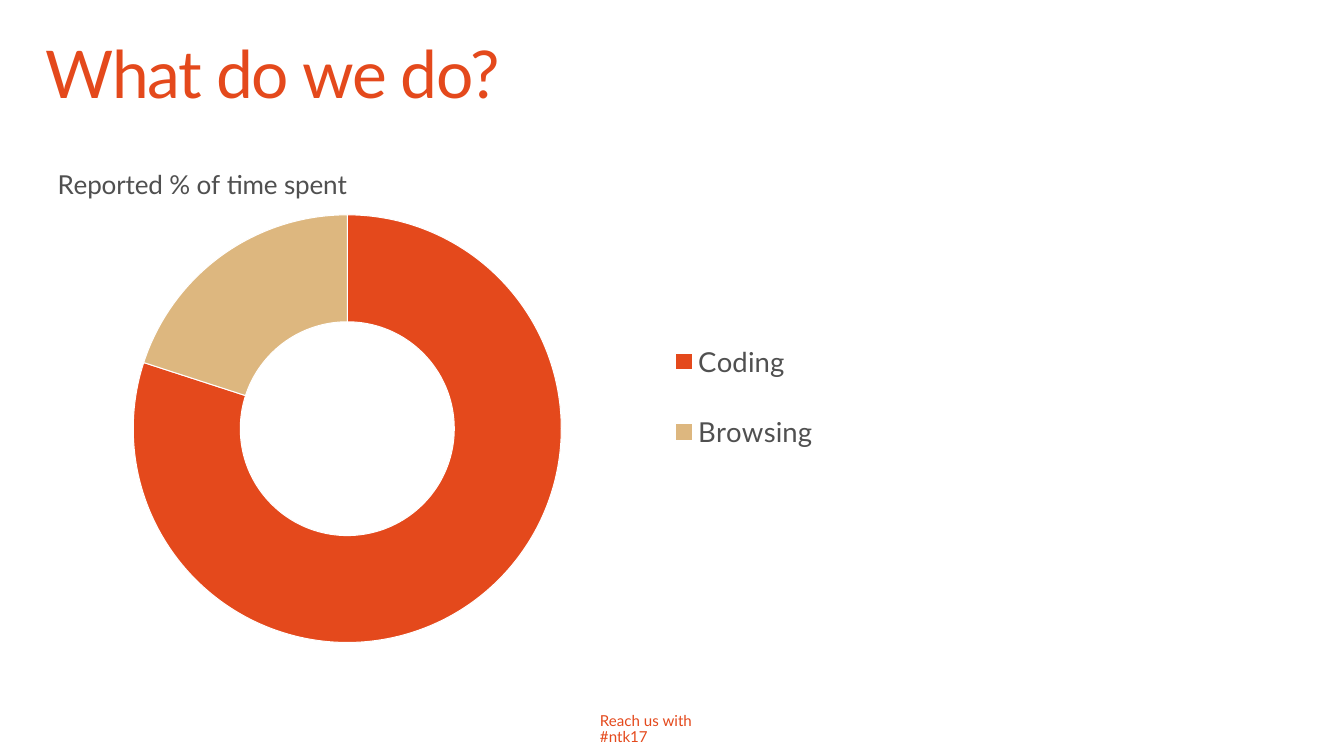
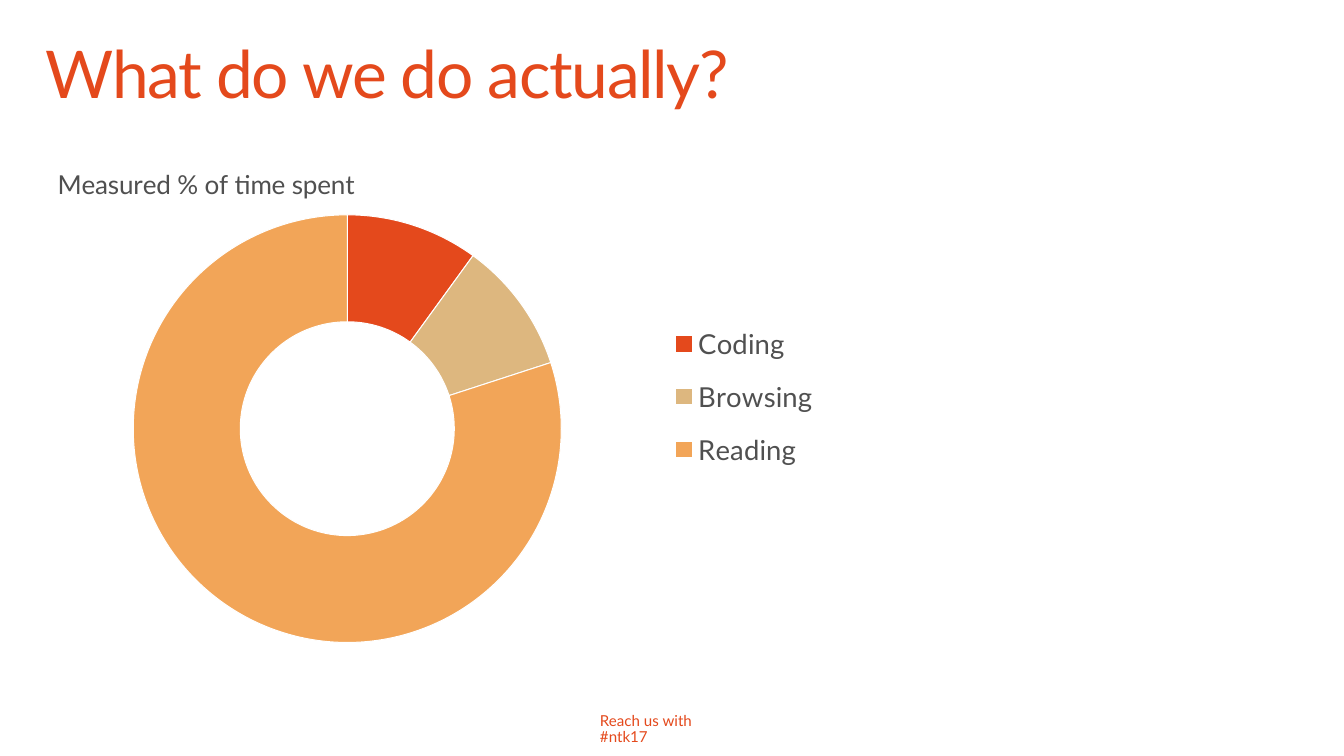
import pptx
import pptx.chart.data
import pptx.dml.color
import pptx.enum.chart
import pptx.enum.text
import pptx.oxml
import pptx.oxml.ns
import pptx.util

COLORS = {"accent": "E4491C", "sand": "DDB77F", "orange": "F2A558",
          "text": "505050", "white": "FFFFFF"}
FONT = "Lato"
FOOTER = "Reach us with #ntk17"
ACTIVITY_COLORS = {"Coding": "accent", "Browsing": "sand", "Reading": "orange"}
SLIDES = [
    {"title": "What do we do?", "chart_title": "Reported % of time spent",
     "shares": {"Coding": 80, "Browsing": 20}},
    {"title": "What do we do actually?", "chart_title": "Measured % of time spent",
     "shares": {"Coding": 10, "Browsing": 10, "Reading": 80}},
]

# Boxes are left, top, width, height in pixels
SLIDE_SIZE = (1344, 756)
TITLE_BOX = (30, 32, 1284, 99)
FOOTER_BOX = (580, 697, 183, 49)
CHART_BOX = (44, 151, 892, 492)
# Chart parts, as fractions of the chart
CHART_TITLE_AT = (0.01, 0.02)
PLOT_AREA = (0.05, 0.13, 0.58, 0.87)
LEGEND_AREA = (0.7, 0.32, 0.17, 0.36)


def px(pixels):
    """Turn pixels into EMU."""
    return round(pixels * 914400 / 98.8)


def rgb(name):
    """Look up a colour by name."""
    return pptx.dml.color.RGBColor.from_string(COLORS[name])


def style_font(font, size, color):
    """Set family, size and colour of a font."""
    font.name = FONT
    font.size = pptx.util.Pt(size)
    font.bold = False
    font.color.rgb = rgb(color)


def add_text(slide, box, text, size, insets, tracking=0, space_after=0):
    """Add a wrapped, top-anchored line of accent text; return nothing."""
    frame = slide.shapes.add_textbox(*map(px, box)).text_frame
    frame.word_wrap = True
    frame.vertical_anchor = pptx.enum.text.MSO_ANCHOR.TOP
    side, edge = map(px, insets)
    frame.margin_left = frame.margin_right = side
    frame.margin_top = frame.margin_bottom = edge
    paragraph = frame.paragraphs[0]
    paragraph.line_spacing = 0.9
    paragraph.space_after = pptx.util.Pt(space_after)
    run = paragraph.add_run()
    run.text = text
    style_font(run.font, size, "accent")
    if tracking:
        run.font._element.set("spc", str(tracking * 100))


def place(part, area, inner=False):
    """Give a chart part a fixed place inside its chart."""
    qn = pptx.oxml.ns.qn
    for automatic in part.findall(qn("c:layout")):
        part.remove(automatic)
    target = '<c:layoutTarget val="inner"/>' if inner else ""
    modes = "".join(f'<c:{axis}Mode val="edge"/>' for axis in "xy")
    values = "".join(f'<c:{side} val="{value}"/>' for side, value in zip("xywh", area))
    layout = pptx.oxml.parse_xml(
        f'<c:layout {pptx.oxml.ns.nsdecls("c")}><c:manualLayout>'
        f'{target}{modes}{values}</c:manualLayout></c:layout>')
    overlay = part.find(qn("c:overlay"))
    if overlay is None:
        part.insert(0, layout)
    else:
        overlay.addprevious(layout)


def add_shares_chart(slide, heading, shares):
    """Add the doughnut of time shares with its heading and legend."""
    data = pptx.chart.data.CategoryChartData()
    data.categories = list(shares)
    data.add_series("Series 1", list(shares.values()))
    chart = slide.shapes.add_chart(
        pptx.enum.chart.XL_CHART_TYPE.DOUGHNUT, *map(px, CHART_BOX), data).chart
    style_font(chart.font, 10, "text")

    chart.has_title = True
    run = chart.chart_title.text_frame.paragraphs[0].add_run()
    run.text = heading
    style_font(run.font, 19, "text")
    place(chart.chart_title._element, CHART_TITLE_AT)

    chart.has_legend = True
    chart.legend.position = pptx.enum.chart.XL_LEGEND_POSITION.RIGHT
    chart.legend.include_in_layout = False
    style_font(chart.legend.font, 20, "text")
    place(chart.legend._element, LEGEND_AREA)

    plot = chart.plots[0]
    plot.vary_by_categories = True
    place(plot._element.getparent(), PLOT_AREA, inner=True)
    for index, activity in enumerate(shares):
        wedge = plot.series[0].points[index].format
        wedge.fill.solid()
        wedge.fill.fore_color.rgb = rgb(ACTIVITY_COLORS[activity])
        wedge.line.color.rgb = rgb("white")
        wedge.line.width = pptx.util.Pt(0.75)


deck = pptx.Presentation()
deck.slide_width, deck.slide_height = map(px, SLIDE_SIZE)
for content in SLIDES:
    slide = deck.slides.add_slide(deck.slide_layouts[6])
    add_text(slide, FOOTER_BOX, FOOTER, 11, (20, 16), space_after=6)
    add_text(slide, TITLE_BOX, content["title"], 48, (16, 10), tracking=-1)
    add_shares_chart(slide, content["chart_title"], content["shares"])
deck.save("out.pptx")
